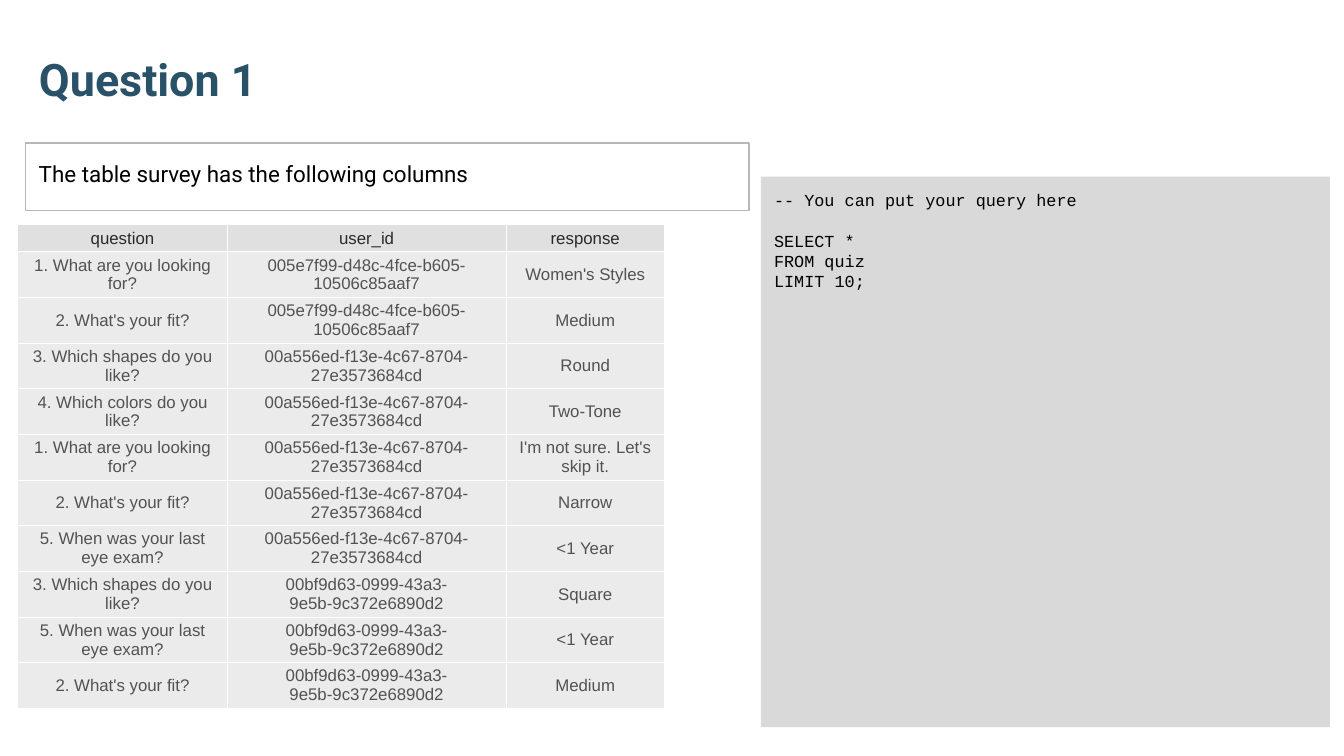
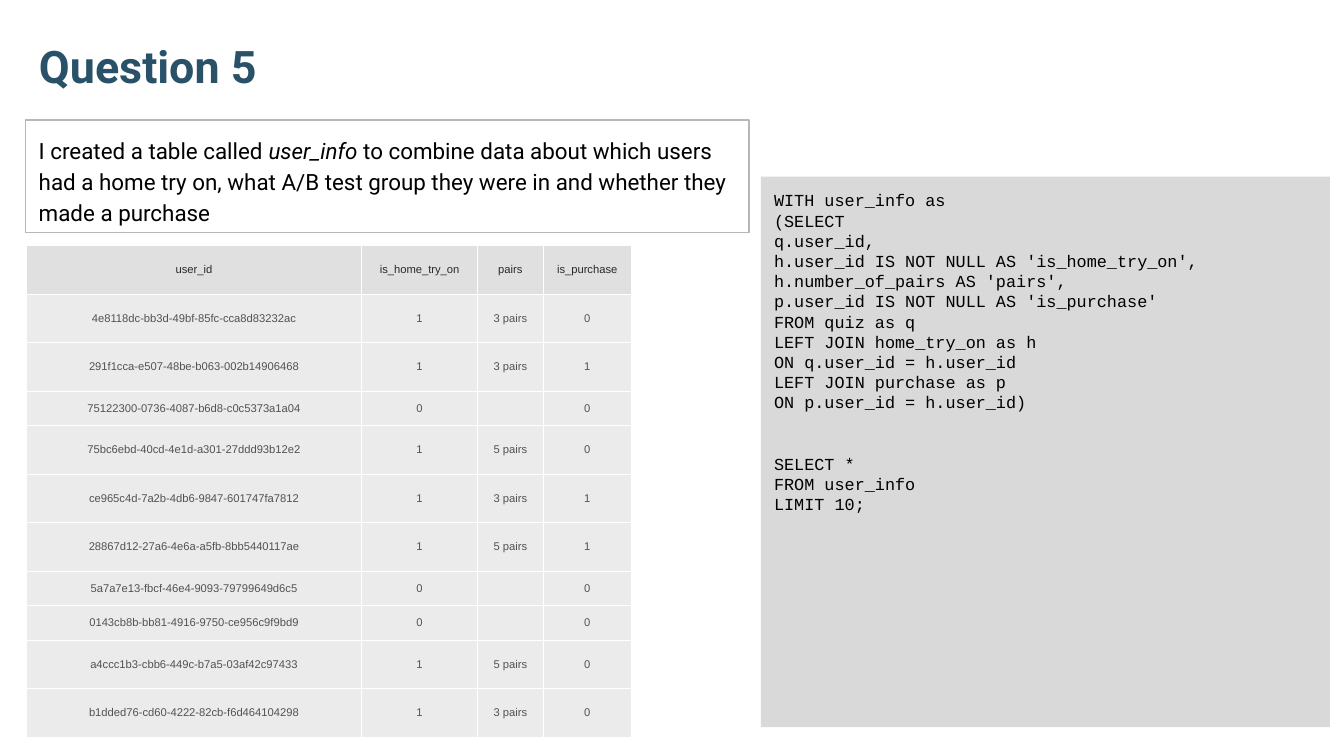
from lxml import etree
from pptx import Presentation
from pptx import util as u
from pptx.dml.color import RGBColor
from pptx.enum import shapes, text
from pptx.oxml import ns

LEFT = 13.7
TITLE = {"name": "Roboto", "size": u.Pt(24), "bold": True}
INTRO = {"name": "Roboto", "size": u.Pt(12), "bold": False}
CODE = {"name": "Courier New", "size": u.Pt(9)}
CODE_BLANK = 11
DARK, BODY, BLACK = "292929", "525252", "000000"

FRAME = {
    "word_wrap": True,
    "auto_size": text.MSO_AUTO_SIZE.NONE,
    "margin_left": u.Pt(7.2),
    "margin_right": u.Pt(7.2),
    "margin_top": u.Pt(7.2),
    "margin_bottom": u.Pt(7.2),
}


def paint(target, value):
    if hasattr(target, "solid"):
        target.solid()
        target = target.fore_color
    else:
        target = target.color
    target.rgb = RGBColor.from_string(value)


def assign(target, values):
    for name, value in values.items():
        setattr(target, name, value)


questions = {
    1: "1. What are you looking for?",
    2: "2. What's your fit?",
    3: "3. Which shapes do you like?",
    4: "4. Which colors do you like?",
    5: "5. When was your last eye exam?",
}
users = {
    "a": "005e7f99-d48c-4fce-b605-10506c85aaf7",
    "b": "00a556ed-f13e-4c67-8704-27e3573684cd",
    "c": "00bf9d63-0999-43a3-9e5b-9c372e6890d2",
}
answers = [
    (1, "a", "Women's Styles"),
    (2, "a", "Medium"),
    (3, "b", "Round"),
    (4, "b", "Two-Tone"),
    (1, "b", "I'm not sure. Let's skip it."),
    (2, "b", "Narrow"),
    (5, "b", "<1 Year"),
    (3, "c", "Square"),
    (5, "c", "<1 Year"),
    (2, "c", "Medium"),
]
survey_rows = [(questions[number], users[user], answer) for number, user, answer in answers]

tryon_rows = [
    ("4e8118dc-bb3d-49bf-85fc-cca8d83232ac", "1", "3 pairs", "0"),
    ("291f1cca-e507-48be-b063-002b14906468", "1", "3 pairs", "1"),
    ("75122300-0736-4087-b6d8-c0c5373a1a04", "0", "", "0"),
    ("75bc6ebd-40cd-4e1d-a301-27ddd93b12e2", "1", "5 pairs", "0"),
    ("ce965c4d-7a2b-4db6-9847-601747fa7812", "1", "3 pairs", "1"),
    ("28867d12-27a6-4e6a-a5fb-8bb5440117ae", "1", "5 pairs", "1"),
    ("5a7a7e13-fbcf-46e4-9093-79799649d6c5", "0", "", "0"),
    ("0143cb8b-bb81-4916-9750-ce956c9f9bd9", "0", "", "0"),
    ("a4ccc1b3-cbb6-449c-b7a5-03af42c97433", "1", "5 pairs", "0"),
    ("b1dded76-cd60-4222-82cb-f6d464104298", "1", "3 pairs", "0"),
]

survey_query = """-- You can put your query here

SELECT *
FROM quiz
LIMIT 10;"""

tryon_query = """WITH user_info as
(SELECT
q.user_id,
h.user_id IS NOT NULL AS 'is_home_try_on',
h.number_of_pairs AS 'pairs',
p.user_id IS NOT NULL AS 'is_purchase'
FROM quiz as q
LEFT JOIN home_try_on as h
ON q.user_id = h.user_id
LEFT JOIN purchase as p
ON p.user_id = h.user_id)


SELECT *
FROM user_info
LIMIT 10;"""

pages = [
    {
        "title": "Question 1",
        "title_top": 23,
        "intro": [("The table survey has the following columns", False)],
        "intro_top": 76.7,
        "intro_height": 36,
        "query": survey_query,
        "table_at": (9.6, 120.5),
        "widths": [112, 149.5, 84.8],
        "heights": [13] + [23] * 10,
        "insets": (4.3, 2.15),
        "size": 9,
        "rows": [("question", "user_id", "response")] + survey_rows,
    },
    {
        "title": "Question 5",
        "title_top": 16,
        "intro": [
            ("I created a table called ", False),
            ("user_info", True),
            (" to combine data about which users had a home try on, "
             "what A/B test group they were in and whether they made a purchase", False),
        ],
        "intro_top": 64.2,
        "intro_height": 60.3,
        "query": tryon_query,
        "table_at": (14, 131.6),
        "widths": [179.8, 62, 35.3, 47],
        "heights": [26] + [26 if row[2] else 18.5 for row in tryon_rows],
        "insets": (3.6, 1.5),
        "size": 6,
        "rows": [("user_id", "is_home_try_on", "pairs", "is_purchase")] + tryon_rows,
    },
]

deck = Presentation()
assign(deck, {"slide_width": u.Pt(720), "slide_height": u.Pt(405)})

for content in pages:
    page = deck.slides.add_slide(deck.slide_layouts[5])
    paint(page.background.fill, "FFFFFF")

    title = page.shapes.title
    assign(title, {"left": u.Pt(LEFT), "top": u.Pt(content["title_top"]),
                   "width": u.Pt(671), "height": u.Pt(41)})
    assign(title.text_frame, {**FRAME, "text": content["title"],
                              "vertical_anchor": text.MSO_ANCHOR.BOTTOM})
    para = title.text_frame.paragraphs[0]
    para.alignment = text.PP_ALIGN.LEFT
    assign(para.runs[0].font, TITLE)
    paint(para.runs[0].font, "295269")

    code_box = page.shapes.add_shape(shapes.MSO_SHAPE.RECTANGLE,
                                     u.Pt(407.6), u.Pt(94.6), u.Pt(304.8), u.Pt(295))
    intro_box = page.shapes.add_shape(shapes.MSO_SHAPE.RECTANGLE,
                                      u.Pt(LEFT), u.Pt(content["intro_top"]),
                                      u.Pt(387.6), u.Pt(content["intro_height"]))
    for box in (code_box, intro_box):
        box.shadow.inherit = False
        assign(box.text_frame, {**FRAME, "vertical_anchor": text.MSO_ANCHOR.TOP})
    paint(code_box.fill, "D9D9D9")
    code_box.line.fill.background()
    intro_box.fill.background()
    paint(intro_box.line, "B7B7B7")
    intro_box.line.width = u.Pt(0.75)

    para = code_box.text_frame.paragraphs[0]
    blanks = 0
    for number, line in enumerate(content["query"].splitlines()):
        if not line:
            blanks += 1
            continue
        if number:
            para = code_box.text_frame.add_paragraph()
        assign(para, {"alignment": text.PP_ALIGN.LEFT,
                      "space_before": u.Pt(CODE_BLANK * blanks)})
        span = para.add_run()
        span.text = line
        assign(span.font, CODE)
        paint(span.font, BLACK)
        blanks = 0

    para = intro_box.text_frame.paragraphs[0]
    assign(para, {"alignment": text.PP_ALIGN.LEFT, "line_spacing": 1.15})
    for words, italic in content["intro"]:
        span = para.add_run()
        span.text = words
        assign(span.font, {**INTRO, "italic": italic})
        paint(span.font, BLACK)

    rows, widths, heights = content["rows"], content["widths"], content["heights"]
    left, top = content["table_at"]
    table = page.shapes.add_table(len(rows), len(widths), u.Pt(left), u.Pt(top),
                                  u.Pt(sum(widths)), u.Pt(sum(heights))).table
    assign(table, {"first_row": False, "horz_banding": False})
    for column, width in zip(table.columns, widths):
        column.width = u.Pt(width)
    for row, height in zip(table.rows, heights):
        row.height = u.Pt(height)

    side, edge = (u.Pt(inset) for inset in content["insets"])
    for row_number, values in enumerate(rows):
        for column_number, value in enumerate(values):
            cell = table.cell(row_number, column_number)
            assign(cell, {"margin_left": side, "margin_right": side,
                          "margin_top": edge, "margin_bottom": edge,
                          "vertical_anchor": text.MSO_ANCHOR.MIDDLE})
            properties = cell._tc.get_or_add_tcPr()
            for border in ("a:lnL", "a:lnR", "a:lnT", "a:lnB"):
                line = etree.SubElement(properties, ns.qn(border), w=str(u.Pt(0.6)))
                fill = etree.SubElement(line, ns.qn("a:solidFill"))
                etree.SubElement(fill, ns.qn("a:srgbClr"), val="FFFFFF")
            paint(cell.fill, "EBEBEB" if row_number else "E0E0E0")
            para = cell.text_frame.paragraphs[0]
            para.alignment = text.PP_ALIGN.CENTER
            if value:
                span = para.add_run()
                span.text = value
                assign(span.font, {"name": "Arial", "size": u.Pt(content["size"])})
                paint(span.font, BODY if row_number else DARK)
            else:
                etree.SubElement(para._p, ns.qn("a:endParaRPr"), sz=str(content["size"] * 100))

deck.save("out.pptx")
